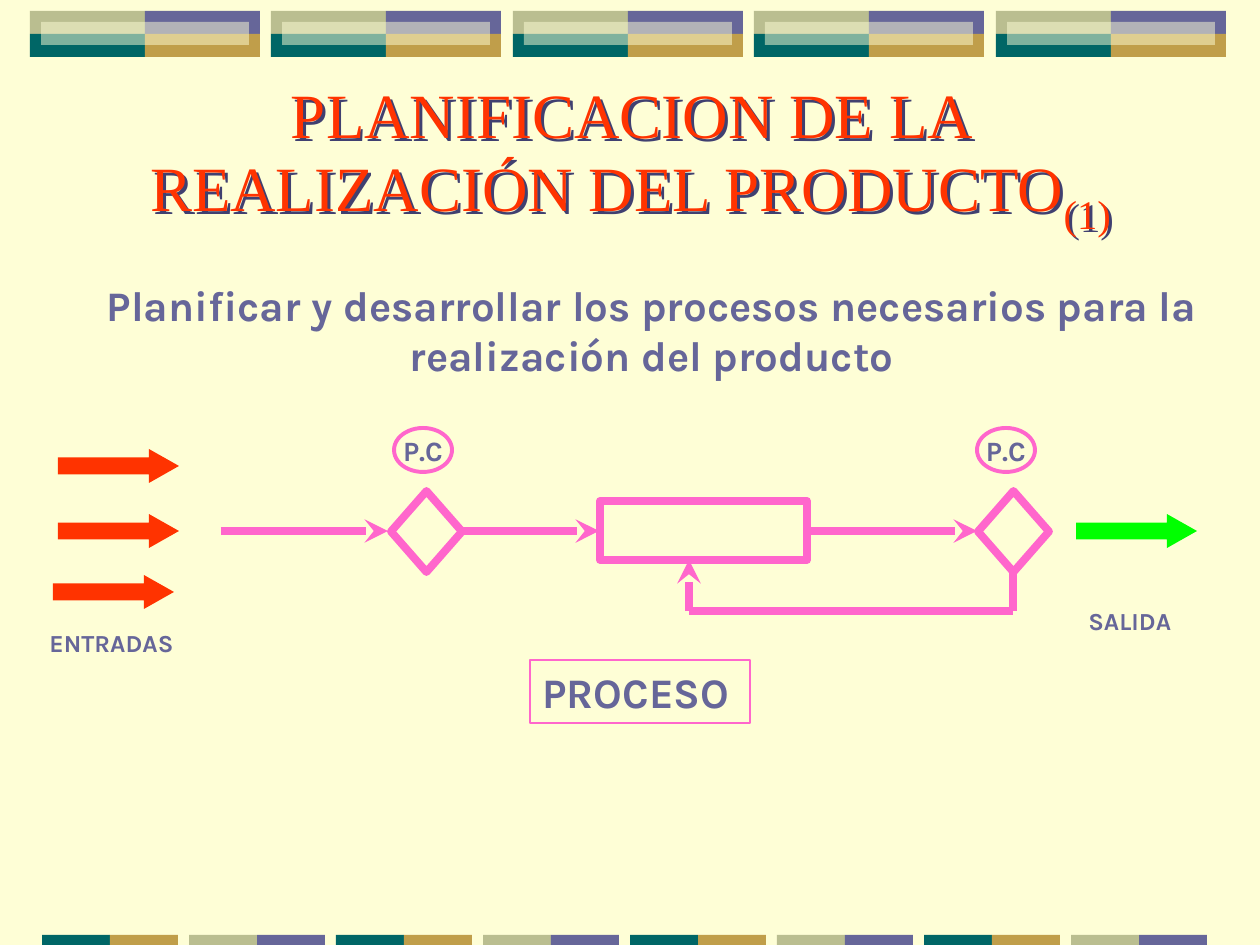
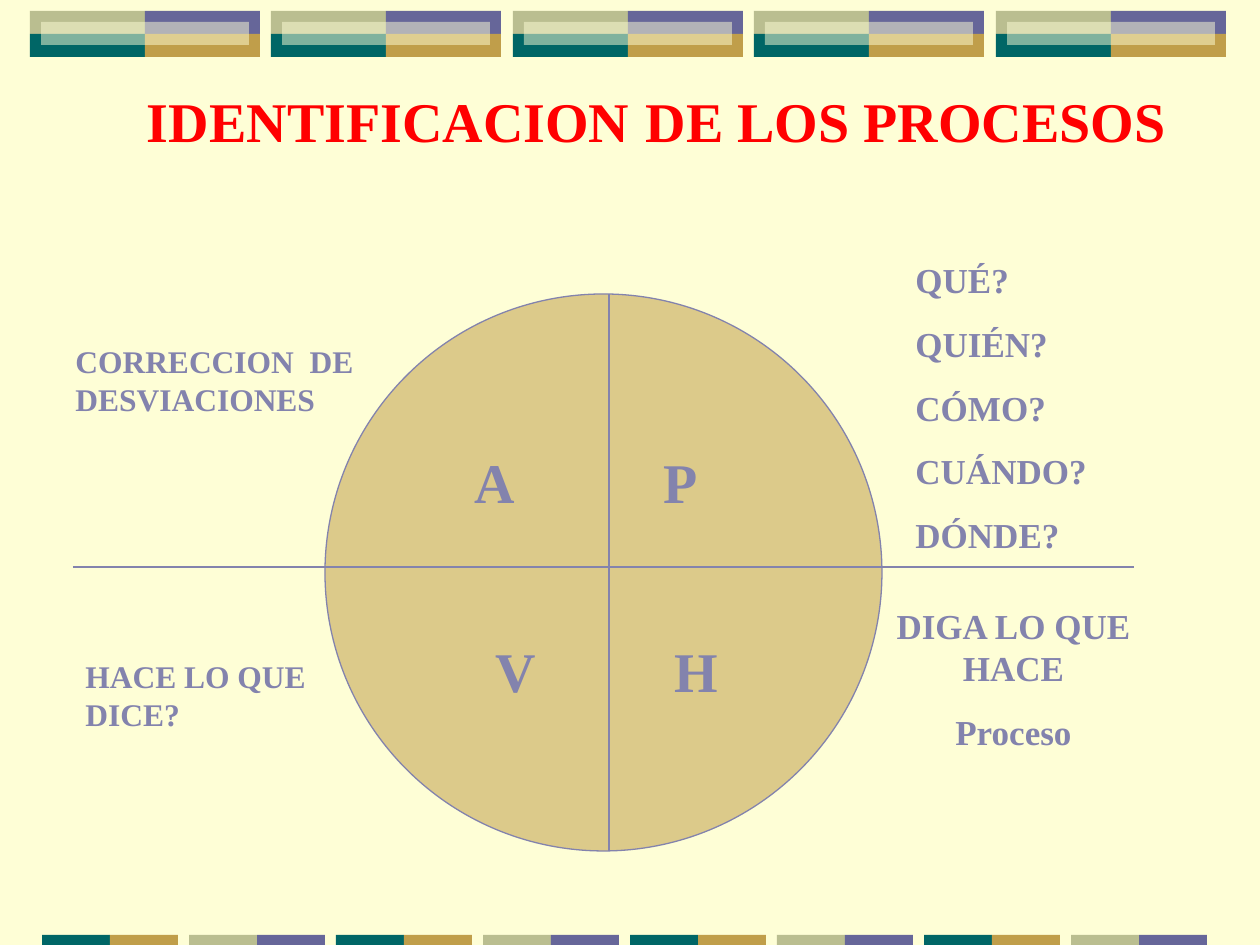
from dataclasses import dataclass

from lxml.etree import SubElement as Sub
from pptx import Presentation
from pptx.dml.color import RGBColor as Rgb
from pptx.enum.shapes import MSO_CONNECTOR as Link, MSO_SHAPE as Kind
from pptx.enum.text import MSO_ANCHOR as Anchor, MSO_AUTO_SIZE as Fit, PP_ALIGN as Align
from pptx.oxml.ns import qn
from pptx.util import Emu, Pt


@dataclass(frozen=True)
class Theme:
    # Colours
    cream: str = "FEFED6"
    slate: str = "666699"
    gold: str = "C09E4A"
    teal: str = "006666"
    sage: str = "BABE90"
    lilac: str = "8383AD"
    pink: str = "FF66CC"
    orange: str = "FF3300"
    red: str = "FF0000"
    green: str = "00FF00"
    shade: str = "404070"
    # Fonts
    serif: str = "Times New Roman"
    sans: str = "Karla"
    # Type sizes
    title: int = 36
    sub: int = 40
    head: int = 32
    lead: int = 24
    ask: int = 20
    note: int = 18
    mark: int = 16
    tag: int = 14
    # Line widths
    thick: float = 4.5
    ring: float = 2.25
    thin: float = 0.75


T = Theme()
WIDE, HIGH = 1260, 945


def px(n):
    return Emu(round(n * 914400 / 126))


def place(part, box):
    for name, n in zip(("left", "top", "width", "height"), box):
        setattr(part, name, px(n))


def shape(page, kind, box, fill=None, line=None, width=T.thin, alpha=None):
    part = page.shapes.add_shape(kind, *map(px, box))
    part.shadow.inherit = False
    if fill:
        part.fill.solid()
        part.fill.fore_color.rgb = Rgb.from_string(fill)
        if alpha:
            tint = part.element.spPr.find(qn("a:solidFill"))[0]
            Sub(tint, qn("a:alpha"), val=str(alpha * 1000))
    else:
        part.fill.background()
    if line:
        part.line.color.rgb = Rgb.from_string(line)
        part.line.width = Pt(width)
    else:
        part.line.fill.background()
    return part


def link(page, start, end, color, width, arrow=False):
    part = page.shapes.add_connector(Link.STRAIGHT, *map(px, start + end))
    part.line.color.rgb = Rgb.from_string(color)
    part.line.width = Pt(width)
    props = part.element.spPr
    if arrow:
        Sub(props.find(qn("a:ln")), qn("a:tailEnd"), type="stealth")
    Sub(props, qn("a:effectLst"))


def run(para, text, size, color, font, bold=True):
    bit = para.add_run()
    bit.text = text
    bit.font.color.rgb = Rgb.from_string(color)
    form = {"size": Pt(size), "name": font, "bold": bold}
    for key, value in form.items():
        setattr(bit.font, key, value)


def write(part, lines, size, color, font, align=Align.LEFT, before=0,
          wrap=True, anchor=Anchor.TOP):
    frame = part.text_frame
    form = {"word_wrap": wrap, "auto_size": Fit.NONE, "vertical_anchor": anchor,
            "margin_left": Pt(7.2), "margin_right": Pt(7.2),
            "margin_top": Pt(3.6), "margin_bottom": Pt(3.6)}
    for key, value in form.items():
        setattr(frame, key, value)
    for i, text in enumerate(lines):
        para = frame.add_paragraph() if i else frame.paragraphs[0]
        para.alignment = align
        para.space_before = Pt(before)
        run(para, text, size, color, font)


def label(page, box, lines, *args, **form):
    write(page.shapes.add_textbox(*map(px, box)), lines, *args, **form)


# Shared bands and background
def bands(page, master):
    master.background.fill.solid()
    master.background.fill.fore_color.rgb = Rgb.from_string(T.cream)
    group = page.shapes.add_group_shape()
    w, h = 115, 23
    for i in range(5):
        x, y = 30 + i * 483 // 2, 11
        tiles = ((T.sage, T.slate), (T.teal, T.gold))
        for row, pair in enumerate(tiles):
            for col, color in enumerate(pair):
                shape(group, Kind.RECTANGLE, (x + col * w, y + row * h, w, h), color)
        shape(group, Kind.RECTANGLE, (x + 11, y + 11, 208, h), T.cream, alpha=50)
    for i in range(8):
        pair = (T.sage, T.slate) if i % 2 else (T.teal, T.gold)
        for col, color in enumerate(pair):
            shape(group, Kind.RECTANGLE, (42 + i * 147 + col * 68, 935, 68, 10), color)
    master.shapes.element.insert(2, group.element)


def title(page, box, bits, anchor):
    part = page.shapes.title
    place(part, box)
    write(part, [], 0, "", "", anchor=anchor)
    para = part.text_frame.paragraphs[0]
    para.alignment = Align.CENTER
    for text, size, color, bold in bits:
        run(para, text, size, color, T.serif, bold)
    return part


def block(page, x, y, color, arrows, text, spot):
    """Block arrows over a small caption."""
    for dx, dy in arrows:
        part = shape(page, Kind.RIGHT_ARROW, (x + dx, y + dy, 121, 34), color)
        part.adjustments[1] = 0.884
    dx, dy, w = spot
    label(page, (x + dx, y + dy, w, 42), [text], T.tag, T.slate, T.sans,
          before=3.5, wrap=False)


def flow(page, x, y):
    pen = {"line": T.pink, "width": T.thick}
    mid = y + 103
    # Main path
    for a, b in ((0, 167), (241, 378), (588, 756)):
        link(page, (x + a, mid), (x + b, mid), T.pink, T.thick, arrow=True)
    for dx in (170, 757):
        shape(page, Kind.DIAMOND, (x + dx, y + 63, 71, 81), **pen)
    shape(page, Kind.RECTANGLE, (x + 379, y + 73, 207, 59), **pen)
    # Return loop
    loop = [(x + dx, y + dy) for dx, dy in
            ((792, 144), (792, 183), (468, 183), (468, 132))]
    for i, (start, end) in enumerate(zip(loop, loop[1:])):
        link(page, start, end, T.pink, T.thick, arrow=i == 2)
    # Process name and check points
    name = shape(page, Kind.RECTANGLE, (x + 309, y + 232, 220, 63), line=T.pink)
    write(name, ["PROCESO"], T.lead, T.slate, T.sans, before=6, wrap=False)
    for dx in (173, 756):
        ring = shape(page, Kind.OVAL, (x + dx, y, 58, 44), line=T.pink, width=T.ring)
        write(ring, ["P.C"], T.mark, T.slate, T.sans, Align.CENTER, 4, False,
              Anchor.MIDDLE)


def plan(page):
    head = title(page, (95, 84, 1071, 149), [
        ("PLANIFICACION DE LA REALIZACIÓN DEL PRODUCTO", T.title, T.orange, False),
        ("(1)", T.sub, T.orange, False)], Anchor.MIDDLE)
    head.text_frame.paragraphs[0].line_spacing = 0.8
    list(head.element.iter(qn("a:rPr")))[-1].set("baseline", "-25000")
    # Title shadow
    glow = Sub(head.element.spPr, qn("a:effectLst"))
    cast = Sub(glow, qn("a:outerShdw"), dist="30800", dir="2700000", algn="ctr")
    Sub(cast, qn("a:srgbClr"), val=T.shade)

    label(page, (43, 273, 1217, 113),
          ["Planificar y desarrollar los procesos necesarios para la "
           "realización del producto"],
          T.lead, T.slate, T.sans, Align.CENTER, 6)
    block(page, 37, 449, T.orange, ((21, 0), (21, 65), (16, 126)),
          "ENTRADAS", (0, 173, 155))
    block(page, 1076, 514, T.green, ((0, 0),), "SALIDA", (0, 86, 115))
    flow(page, 221, 428)


def wheel(page, x, y, d):
    shape(page, Kind.OVAL, (x, y, d, d), T.gold, T.lilac, alpha=54)
    link(page, (x + 284, y), (x + 284, y + d), T.lilac, T.thin)
    link(page, (x - 252, y + 273), (x + 809, y + 273), T.lilac, T.thin)
    for text, dx, dy in (("A", 137, 147), ("P", 326, 147),
                         ("V", 158, 336), ("H", 337, 336)):
        label(page, (x + dx, y + dy, 63, 80), [text], T.head, T.lilac, T.serif,
              before=20)


def cycle(page):
    title(page, (95, 73, 1123, 88), [
        ("IDENTIFICACION", T.head, T.red, True), (" ", T.title, T.red, True),
        ("DE LOS PROCESOS", T.head, T.red, True)], Anchor.TOP)
    wheel(page, 325, 294, 557)
    # Questions and answers around the wheel
    ask = {"size": T.ask, "before": 12.5}
    note = {"size": T.note, "before": 11.2}
    for box, lines, form in (
        ((903, 252, 231, 310), ["QUÉ?", "QUIÉN?", "CÓMO?", "CUÁNDO?", "DÓNDE?"], ask),
        ((861, 598, 305, 161), ["DIGA LO QUE HACE", "Proceso"],
         {**ask, "align": Align.CENTER}),
        ((73, 651, 305, 88), ["HACE LO QUE DICE?"], note),
        ((63, 336, 305, 88), ["CORRECCION  DE DESVIACIONES"], note),
    ):
        label(page, box, lines, color=T.lilac, font=T.serif, **form)


def main():
    deck = Presentation()
    deck.slide_width, deck.slide_height = px(WIDE), px(HIGH)
    for i, build in enumerate((plan, cycle)):
        page = deck.slides.add_slide(deck.slide_layouts[5])
        if i == 0:
            bands(page, deck.slide_master)
        build(page)
    deck.save("out.pptx")


if __name__ == "__main__":
    main()
